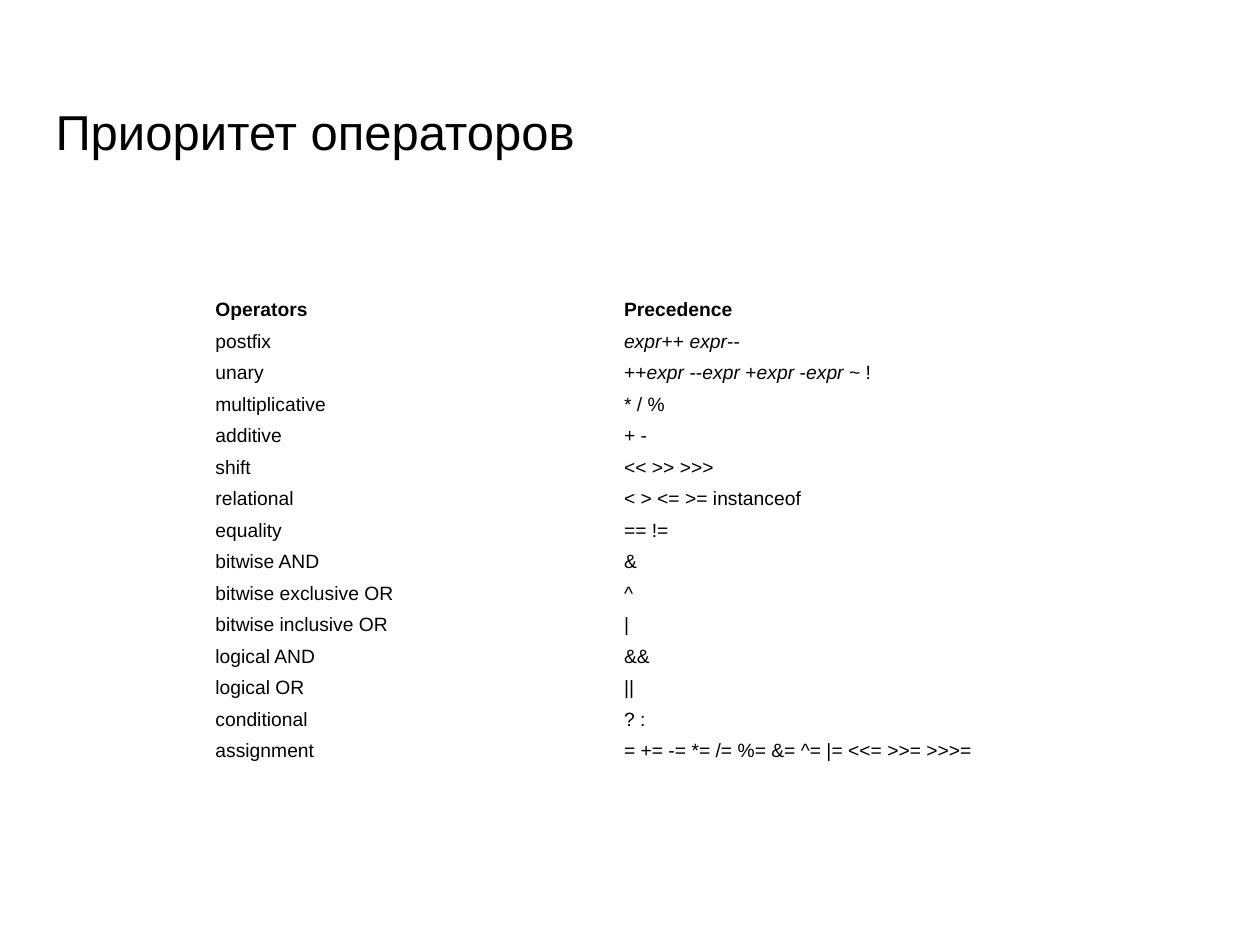
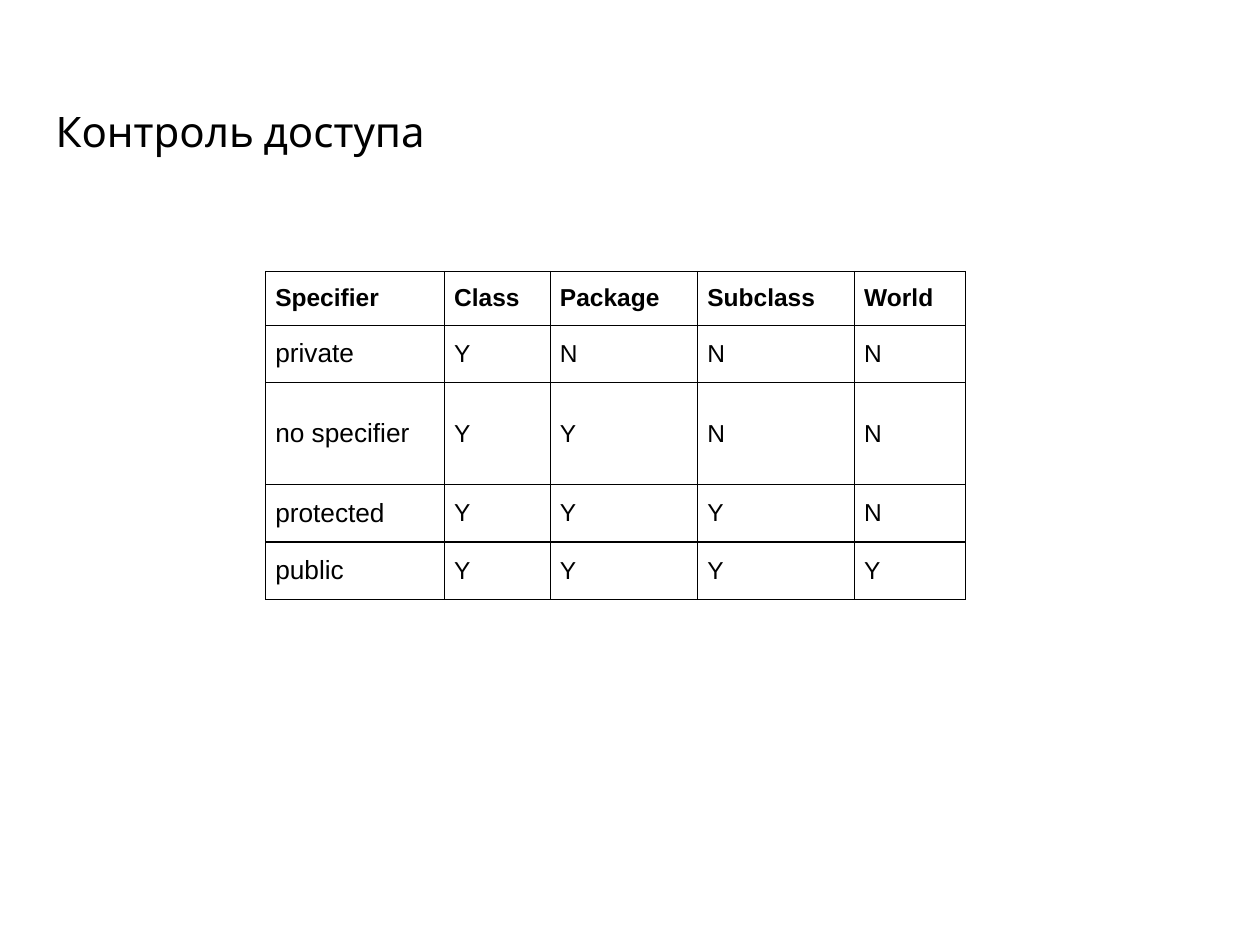
from dataclasses import dataclass

from lxml.etree import SubElement
from pptx import Presentation
from pptx.dml.color import RGBColor
from pptx.enum.text import MSO_ANCHOR
from pptx.oxml.ns import qn
from pptx.slide import Slide
from pptx.table import _Cell
from pptx.text.text import _Paragraph
from pptx.util import Inches, Pt

BLACK = RGBColor(0x00, 0x00, 0x00)
WHITE = RGBColor(0xFF, 0xFF, 0xFF)
BODY_FONT = "Arial"
GRID_COLUMNS = 100
GRID_ROWS = 75
SLIDE_WIDTH = Inches(10)
SLIDE_HEIGHT = Inches(7.5)
BORDER_WIDTH = Pt(0.75)
BORDER_SIDES = ("a:lnL", "a:lnR", "a:lnT", "a:lnB")
OPERAND = "expr"


@dataclass(frozen=True)
class Title:
    text: str
    size: float
    font: str


@dataclass(frozen=True)
class Grid:
    left: float
    top: float
    column_widths: tuple[float, ...]
    row_heights: tuple[float, ...]
    cells: tuple[tuple[str, ...], ...]
    size: float
    label_size: float
    bordered: bool


PRECEDENCE = (
    ("Operators", "Precedence"),
    ("postfix", "expr++ expr--"),
    ("unary", "++expr --expr +expr -expr ~ !"),
    ("multiplicative", "* / %"),
    ("additive", "+ -"),
    ("shift", "<< >> >>>"),
    ("relational", "< > <= >= instanceof"),
    ("equality", "== !="),
    ("bitwise AND", "&"),
    ("bitwise exclusive OR", "^"),
    ("bitwise inclusive OR", "|"),
    ("logical AND", "&&"),
    ("logical OR", "||"),
    ("conditional", "? :"),
    ("assignment", "= += -= *= /= %= &= ^= |= <<= >>= >>>="),
)

ACCESS = (
    ("Specifier", "Class", "Package", "Subclass", "World"),
    ("private", "Y", "N", "N", "N"),
    ("no specifier", "Y", "Y", "N", "N"),
    ("protected", "Y", "Y", "Y", "N"),
    ("public", "Y", "Y", "Y", "Y"),
)

SLIDES = (
    (
        Title("Приоритет операторов", 28, BODY_FONT),
        Grid(16.35, 23.35, (32.43, 35.1), (2.5,) * len(PRECEDENCE),
             PRECEDENCE, 11, 11, False),
    ),
    (
        Title("Контроль доступа", 24, "Cabin"),
        Grid(21.1, 21.55, (14.2, 8.4, 11.7, 12.45, 8.8),
             (4.25, 4.56, 8.1, 4.56, 4.56), ACCESS, 14, 15, True),
    ),
)


def across(columns: float) -> int:
    return round(SLIDE_WIDTH * columns / GRID_COLUMNS)


def down(rows: float) -> int:
    return round(SLIDE_HEIGHT * rows / GRID_ROWS)


def add_run(paragraph: _Paragraph, text: str, size: float, font: str = BODY_FONT,
            bold: bool = False, italic: bool = False) -> None:
    run = paragraph.add_run()
    run.text = text
    run.font.name = font
    run.font.size = Pt(size)
    run.font.bold = bold
    run.font.italic = italic
    run.font.color.rgb = BLACK


def add_title(slide: Slide, title: Title) -> None:
    shape = slide.shapes.add_textbox(across(3.43), down(6.5), across(93.2), down(8.3))
    frame = shape.text_frame
    frame.word_wrap = True
    frame.vertical_anchor = MSO_ANCHOR.MIDDLE
    paragraph = frame.paragraphs[0]
    paragraph.line_spacing = 0.9
    add_run(paragraph, title.text, title.size, title.font)


def add_borders(cell: _Cell) -> None:
    properties = cell._tc.get_or_add_tcPr()
    for position, side in enumerate(BORDER_SIDES):
        line = SubElement(properties, qn(side), w=str(BORDER_WIDTH))
        fill = SubElement(line, qn("a:solidFill"))
        SubElement(fill, qn("a:srgbClr"), val=str(BLACK))
        properties.insert(position, line)


def fill_cell(cell: _Cell, text: str, size: float, bold: bool) -> None:
    cell.fill.background()
    cell.vertical_anchor = MSO_ANCHOR.MIDDLE
    cell.margin_left = cell.margin_right = Pt(5.4)
    cell.margin_top = cell.margin_bottom = Inches(0.03)
    paragraph = cell.text_frame.paragraphs[0]
    for index, part in enumerate(text.split(OPERAND)):
        if index:
            add_run(paragraph, OPERAND, size, italic=True)
        if part:
            add_run(paragraph, part, size, bold=bold)


def add_grid(slide: Slide, grid: Grid) -> None:
    shape = slide.shapes.add_table(
        len(grid.row_heights), len(grid.column_widths),
        across(grid.left), down(grid.top),
        across(sum(grid.column_widths)), down(sum(grid.row_heights)))
    table = shape.table
    table.first_row = False
    table.horz_banding = False
    for column, width in zip(table.columns, grid.column_widths):
        column.width = across(width)
    for row_index, (row, height) in enumerate(zip(table.rows, grid.row_heights)):
        row.height = down(height)
        is_header = row_index == 0
        for column_index, text in enumerate(grid.cells[row_index]):
            is_label = column_index == 0 and not is_header
            cell = table.cell(row_index, column_index)
            fill_cell(cell, text, grid.label_size if is_label else grid.size, is_header)
            if grid.bordered:
                add_borders(cell)


def main() -> None:
    presentation = Presentation()
    presentation.slide_width = SLIDE_WIDTH
    presentation.slide_height = SLIDE_HEIGHT
    for title, grid in SLIDES:
        slide = presentation.slides.add_slide(presentation.slide_layouts[6])
        slide.background.fill.solid()
        slide.background.fill.fore_color.rgb = WHITE
        add_title(slide, title)
        add_grid(slide, grid)
    presentation.save("out.pptx")


if __name__ == "__main__":
    main()
